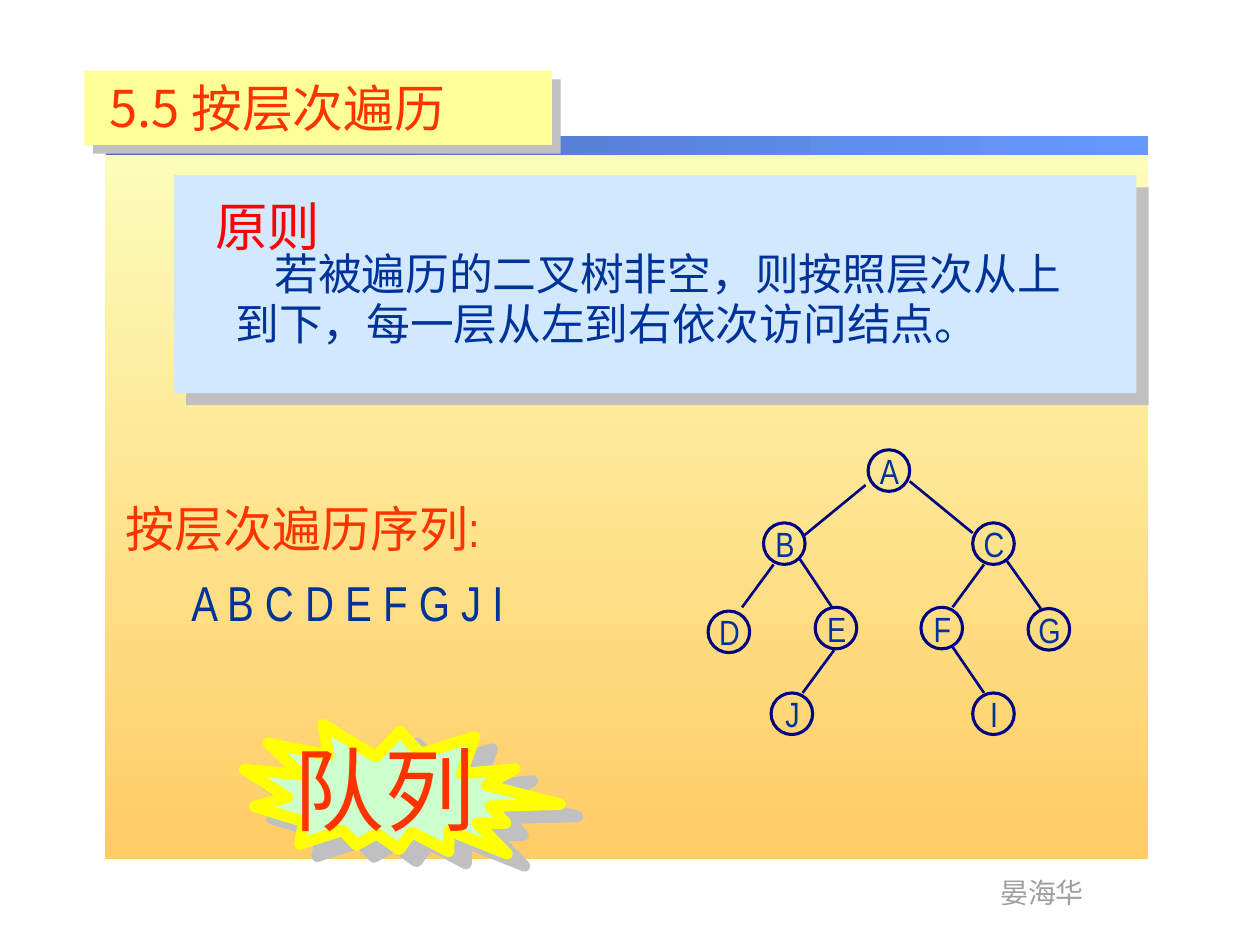
import pptx
import pptx.util
import pptx.dml.color
import pptx.enum.shapes
import pptx.enum.text
import pptx.oxml
import pptx.oxml.ns

Inches = pptx.util.Inches
Pt = pptx.util.Pt
RGBColor = pptx.dml.color.RGBColor
SHAPE = pptx.enum.shapes.MSO_SHAPE
CENTER = pptx.enum.text.PP_ALIGN.CENTER
qn = pptx.oxml.ns.qn

CREAM = RGBColor(0xFC, 0xFE, 0xBC)
AMBER = RGBColor(0xFF, 0xCC, 0x66)
STEEL = RGBColor(0x49, 0x6D, 0xB6)
SKY = RGBColor(0x66, 0x99, 0xFF)
PALE_BLUE = RGBColor(0xD1, 0xE8, 0xFF)
PALE_YELLOW = RGBColor(0xFF, 0xFF, 0x99)
YELLOW = RGBColor(0xFF, 0xFF, 0x00)
MINT = RGBColor(0xCC, 0xFF, 0xCC)
ORANGE = RGBColor(0xFF, 0x33, 0x00)
RED = RGBColor(0xFF, 0x00, 0x00)
BLUE = RGBColor(0x00, 0x33, 0x99)
NAVY = RGBColor(0x00, 0x00, 0x80)
GRAY = RGBColor(0x9F, 0x9F, 0x9F)
SILVER = RGBColor(0xC0, 0xC0, 0xC0)
BLACK = RGBColor(0x00, 0x00, 0x00)
WHITE = RGBColor(0xFF, 0xFF, 0xFF)
NARROW = "Arial Narrow"
SANS = "Noto Sans CJK SC"


def shadow_effect(color, distance, angle):
    return pptx.oxml.parse_xml(
        f'<a:effectLst {pptx.oxml.ns.nsdecls("a")}>'
        f'<a:outerShdw dist="{Pt(distance)}" dir="{angle * 60000}" rotWithShape="0">'
        f'<a:srgbClr val="{color}"/></a:outerShdw></a:effectLst>'
    )


def add_block(slide, kind, box, fill=None, line=None, width=1.0, shadow=None):
    block = slide.shapes.add_shape(kind, *map(Inches, box))
    if fill is None:
        block.fill.background()
    elif isinstance(fill, RGBColor):
        block.fill.solid()
        block.fill.fore_color.rgb = fill
    else:
        start, end, angle = fill
        block.fill.gradient()
        block.fill.gradient_angle = angle
        for stop, color in zip(block.fill.gradient_stops, (start, end)):
            stop.color.rgb = color
    if line is None:
        block.line.fill.background()
    else:
        block.line.color.rgb = line
        block.line.width = Pt(width)
    if shadow is None:
        block.shadow.inherit = False
    else:
        block._element.spPr.append(shadow_effect(SILVER, *shadow))
    return block


def add_paragraph(paragraph, words, size, color, font=NARROW, shadow=None, **layout):
    for key, value in layout.items():
        setattr(paragraph, key, value)
    run = paragraph.add_run()
    run.text = words
    for key, value in {"size": Pt(size), "name": font}.items():
        setattr(run.font, key, value)
    run.font.color.rgb = color
    properties = run._r.get_or_add_rPr()
    east_asian = properties.makeelement(qn("a:ea"), {"typeface": SANS})
    properties.find(qn("a:latin")).addnext(east_asian)
    if shadow is not None:
        properties.find(qn("a:solidFill")).addnext(shadow_effect(shadow, 2, 45))


def add_text(slide, box, *args, wrap=True, **kwargs):
    frame = slide.shapes.add_textbox(*map(Inches, box)).text_frame
    frame.word_wrap = wrap
    frame.auto_size = pptx.enum.text.MSO_AUTO_SIZE.SHAPE_TO_FIT_TEXT
    add_paragraph(frame.paragraphs[0], *args, **kwargs)
    return frame


def set_indent(paragraph, margin=0, first=0):
    properties = paragraph._p.get_or_add_pPr()
    properties.set("marL", str(Inches(margin)))
    properties.set("indent", str(Inches(first)))


def draw_backdrop(slide, left, top, width, height):
    add_block(slide, SHAPE.RECTANGLE, (left, top, width, height), (CREAM, AMBER, 270))
    add_block(slide, SHAPE.RECTANGLE, (left + 0.01, top - 0.02, width - 0.01, 0.15), (STEEL, SKY, 0))
    add_text(slide, (left + 7.01, top + 5.8, 0.87, 0.37), "晏海华", 16, GRAY, wrap=False)


def draw_sequence(slide, left, top, width, height):
    frame = add_text(slide, (left, top, width, height), "按层次遍历序列:", 28, ORANGE)
    order = frame.add_paragraph()
    add_paragraph(order, "A B C D E F G J I", 28, BLUE, space_before=Pt(8.4))
    set_indent(order, margin=0.52)


def draw_principle(slide, left, top, width, height):
    add_block(slide, SHAPE.RECTANGLE, (left, top, width, height), PALE_BLUE, shadow=(9.9, 45))
    frame = add_text(
        slide, (left + 0.39, top + 0.55, 6.85, 0.89),
        "若被遍历的二叉树非空，则按照层次从上到下，每一层从左到右依次访问结点。",
        25, BLUE, SANS, line_spacing=0.95,
    )
    set_indent(frame.paragraphs[0], first=0.31)
    add_text(slide, (left + 0.23, top + 0.1, 1.22, 0.6), "原则", 30, RED, SANS, shadow=BLACK)


def draw_queue(slide, left, top, width, height):
    burst = add_block(
        slide, SHAPE.EXPLOSION2, (left, top, width, height), MINT, YELLOW, 6.5, (12.2, 35)
    )
    burst.rotation = 13.9
    add_text(slide, (left + 0.3, top + 0.05, 1.92, 1.85), "队列", 52, ORANGE, shadow=BLACK)


def draw_tree(slide, left, top):
    diameter = 0.33
    nodes = {
        "A": (1.27, 0), "B": (0.44, 0.58), "C": (2.1, 0.58),
        "D": (0, 1.28), "E": (0.85, 1.25), "F": (1.69, 1.25), "G": (2.54, 1.26),
        "J": (0.5, 1.93), "I": (2.1, 1.93),
    }
    edges = [
        (1.25, 0.28, 0.75, 0.69), (1.6, 0.25, 2.1, 0.66),
        (0.52, 0.91, 0.27, 1.25), (0.73, 0.87, 0.99, 1.26),
        (2.19, 0.91, 1.94, 1.25), (2.37, 0.88, 2.64, 1.26),
        (1, 1.59, 0.75, 1.93), (1.93, 1.55, 2.19, 1.93),
    ]
    for x, y in nodes.values():
        add_block(slide, SHAPE.OVAL, (left + x, top + y, diameter, diameter), line=NAVY, width=1.75)
    for x1, y1, x2, y2 in edges:
        ends = map(Inches, (left + x1, top + y1, left + x2, top + y2))
        edge = slide.shapes.add_connector(pptx.enum.shapes.MSO_CONNECTOR.STRAIGHT, *ends)
        edge.line.color.rgb = NAVY
        edge.line.width = Pt(1.5)
        properties = edge._element.spPr
        properties.append(properties.makeelement(qn("a:effectLst"), {}))
    for letter, (x, y) in nodes.items():
        add_text(
            slide, (left + x - 0.03, top + y - 0.05, 0.4, 0.43),
            letter, 20, BLUE, wrap=False, alignment=CENTER,
        )


def draw_title(slide, left, top, width, height):
    add_block(slide, SHAPE.RECTANGLE, (left, top, width, height), PALE_YELLOW, shadow=(7.1, 45))
    add_text(slide, (left + 0.1, top, 4.23, 0.58), "5.5 按层次遍历", 29, ORANGE, SANS, shadow=WHITE)


def main():
    deck = pptx.Presentation()
    deck.slide_width = Inches(10)
    deck.slide_height = Inches(7.5)
    slide = deck.slides.add_slide(deck.slide_layouts[6])
    draw_backdrop(slide, 0.83, 1.1, 8.28, 5.72)
    draw_sequence(slide, 0.9, 3.91, 4.75, 1.18)
    draw_principle(slide, 1.38, 1.39, 7.64, 1.73)
    draw_queue(slide, 1.93, 5.72, 2.5, 1.16)
    draw_tree(slide, 5.62, 3.57)
    draw_title(slide, 0.67, 0.56, 3.71, 0.59)
    deck.save("out.pptx")


if __name__ == "__main__":
    main()
